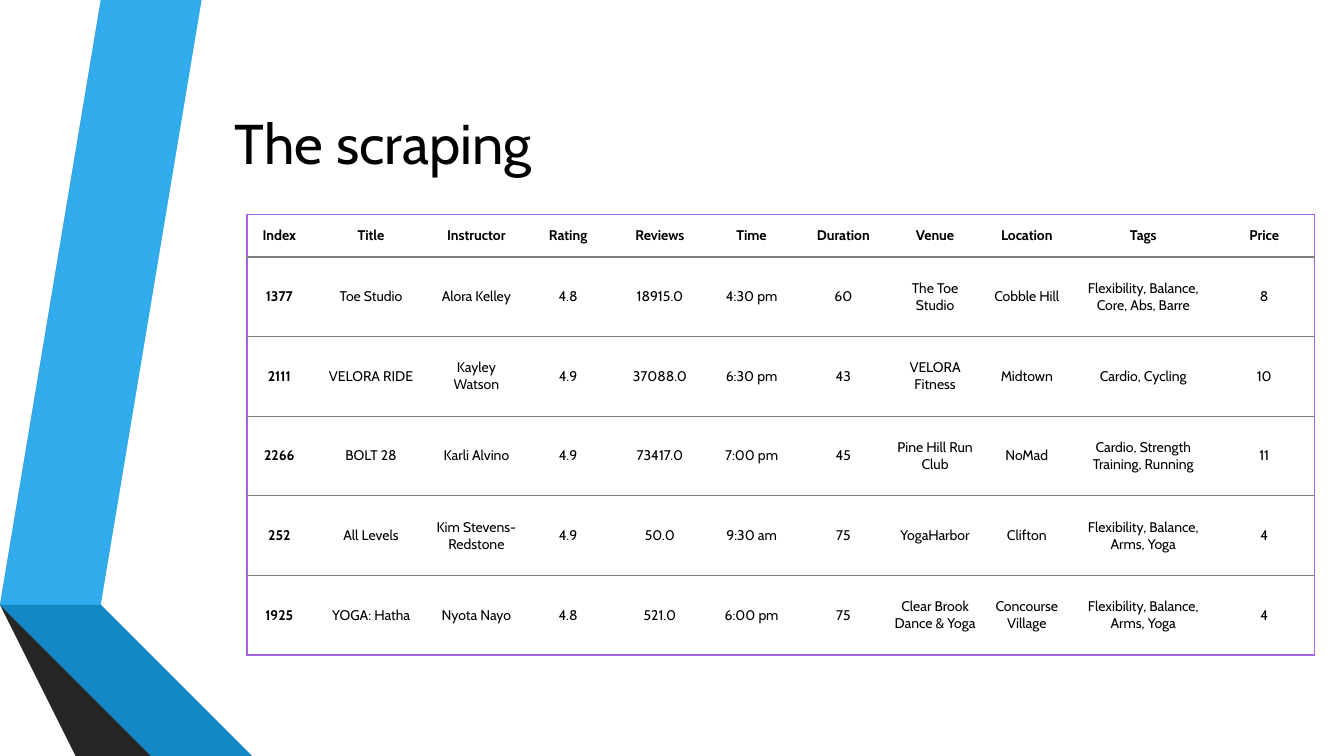
"""Build a slide with a table of scraped fitness classes."""
from lxml import etree
from pptx import Presentation
from pptx import util as u
from pptx.dml.color import RGBColor
from pptx.enum import text
from pptx.oxml.ns import qn

WIDE, HIGH = 13.33, 7.5
FONT = "Cabin"
BLACK = RGBColor(0, 0, 0)
WHITE = RGBColor(255, 255, 255)
PURPLE = RGBColor(0xA6, 0x66, 0xE1)
GRAY = RGBColor(0x80, 0x80, 0x80)

TITLE = "The scraping"
ROWS = [
    ("Index", "Title", "Instructor", "Rating", "Reviews", "Time",
     "Duration", "Venue", "Location", "Tags", "Price"),
    ("1377", "Toe Studio", "Alora Kelley", "4.8", "18915.0", "4:30 pm",
     "60", "The Toe Studio", "Cobble Hill",
     "Flexibility, Balance, Core, Abs, Barre", "8"),
    ("2111", "VELORA RIDE", "Kayley Watson", "4.9", "37088.0", "6:30 pm",
     "43", "VELORA Fitness", "Midtown", "Cardio, Cycling", "10"),
    ("2266", "BOLT 28", "Karli Alvino", "4.9", "73417.0", "7:00 pm",
     "45", "Pine Hill Run Club", "NoMad",
     "Cardio, Strength Training, Running", "11"),
    ("252", "All Levels", "Kim Stevens-Redstone", "4.9", "50.0", "9:30 am",
     "75", "YogaHarbor", "Clifton", "Flexibility, Balance, Arms, Yoga", "4"),
    ("1925", "YOGA: Hatha", "Nyota Nayo", "4.8", "521.0", "6:00 pm",
     "75", "Clear Brook Dance & Yoga", "Concourse Village",
     "Flexibility, Balance, Arms, Yoga", "4"),
]
COLS = [0.64, 1.18] + [0.91] * 7 + [1.4, 1]
TALL = [0.42] + [0.79] * (len(ROWS) - 1)
LEFT, TOP = 2.45, 2.13

BANDS = [
    (RGBColor(0x30, 0xAC, 0xEC),
     [(0.5, 5.78), (0.77, 5.83), (1.73, 0), (1.45, 0)]),
    (RGBColor(0x59, 0x59, 0x59),
     [(1.39, 0), (1.11, 0), (0.16, 5.73), (0.44, 5.77)]),
    (RGBColor(0x26, 0x26, 0x26), [(0.16, 5.73), (1.45, HIGH), (1.51, HIGH)]),
    (RGBColor(0x0C, 0x5A, 0x82), [(0.5, 5.79), (2.08, HIGH), (2.14, HIGH)]),
    (RGBColor(0x12, 0x87, 0xC3),
     [(0.5, 5.79), (2.14, HIGH), (2.83, HIGH), (0.77, 5.83), (0.5, 5.78)]),
    (RGBColor(0x40, 0x40, 0x40),
     [(2.02, HIGH), (0.48, 5.83), (0.43, 5.78), (0.44, 5.77),
      (0.16, 5.73), (1.51, HIGH)]),
]


def style(para, size, bold=False):
    para.alignment = text.PP_ALIGN.CENTER
    font = para.font
    font.name, font.size, font.bold = FONT, u.Pt(size), bold
    font.color.rgb = BLACK


def draw_band(shapes, color, points):
    pen = shapes.build_freeform(*points[0], scale=u.Inches(1))
    pen.add_line_segments(points[1:], close=True)
    band = pen.convert_to_shape()
    band.shadow.inherit = False
    band.fill.solid()
    band.fill.fore_color.rgb = color
    band.line.fill.background()


def set_edge(cell, side, color):
    props = cell._tc.get_or_add_tcPr()
    edge = etree.SubElement(props, qn("a:ln" + side), w=str(u.Pt(1)))
    if color is None:
        etree.SubElement(edge, qn("a:noFill"))
    else:
        fill = etree.SubElement(edge, qn("a:solidFill"))
        etree.SubElement(fill, qn("a:srgbClr"), val=str(color))


def fill_cell(cell, words, row, col):
    edges = {
        "L": PURPLE if col == 0 else None,
        "R": PURPLE if col == len(COLS) - 1 else None,
        "T": PURPLE if row == 0 else GRAY,
        "B": PURPLE if row == len(ROWS) - 1 else GRAY,
    }
    for side, color in edges.items():
        set_edge(cell, side, color)
    cell.fill.solid()
    cell.fill.fore_color.rgb = WHITE
    cell.margin_left = cell.margin_right = u.Inches(0.04)
    cell.margin_top = cell.margin_bottom = u.Inches(0.02)
    cell.vertical_anchor = text.MSO_ANCHOR.MIDDLE
    cell.text = words
    style(cell.text_frame.paragraphs[0], 10, row == 0 or col == 0)


def add_grid(shapes):
    box = [u.Inches(n) for n in (LEFT, TOP, sum(COLS), sum(TALL))]
    table = shapes.add_table(len(ROWS), len(COLS), *box).table
    table.first_row = table.horz_banding = False
    for col, width in zip(table.columns, COLS):
        col.width = u.Inches(width)
    for row, height in zip(table.rows, TALL):
        row.height = u.Inches(height)
    for r, line in enumerate(ROWS):
        for c, words in enumerate(line):
            fill_cell(table.cell(r, c), words, r, c)


def main():
    deck = Presentation()
    deck.slide_width, deck.slide_height = u.Inches(WIDE), u.Inches(HIGH)
    shapes = deck.slides.add_slide(deck.slide_layouts[5]).shapes
    for color, points in BANDS:
        draw_band(shapes, color, points)

    title = shapes.title
    shapes.element.append(title.element)
    title.left, title.top = u.Inches(-0.9), u.Inches(0.69)
    title.width, title.height = u.Inches(9.4), u.Inches(1.44)
    title.text_frame.text = TITLE
    title.text_frame.vertical_anchor = text.MSO_ANCHOR.MIDDLE
    style(title.text_frame.paragraphs[0], 40)

    add_grid(shapes)
    deck.save("out.pptx")


if __name__ == "__main__":
    main()
